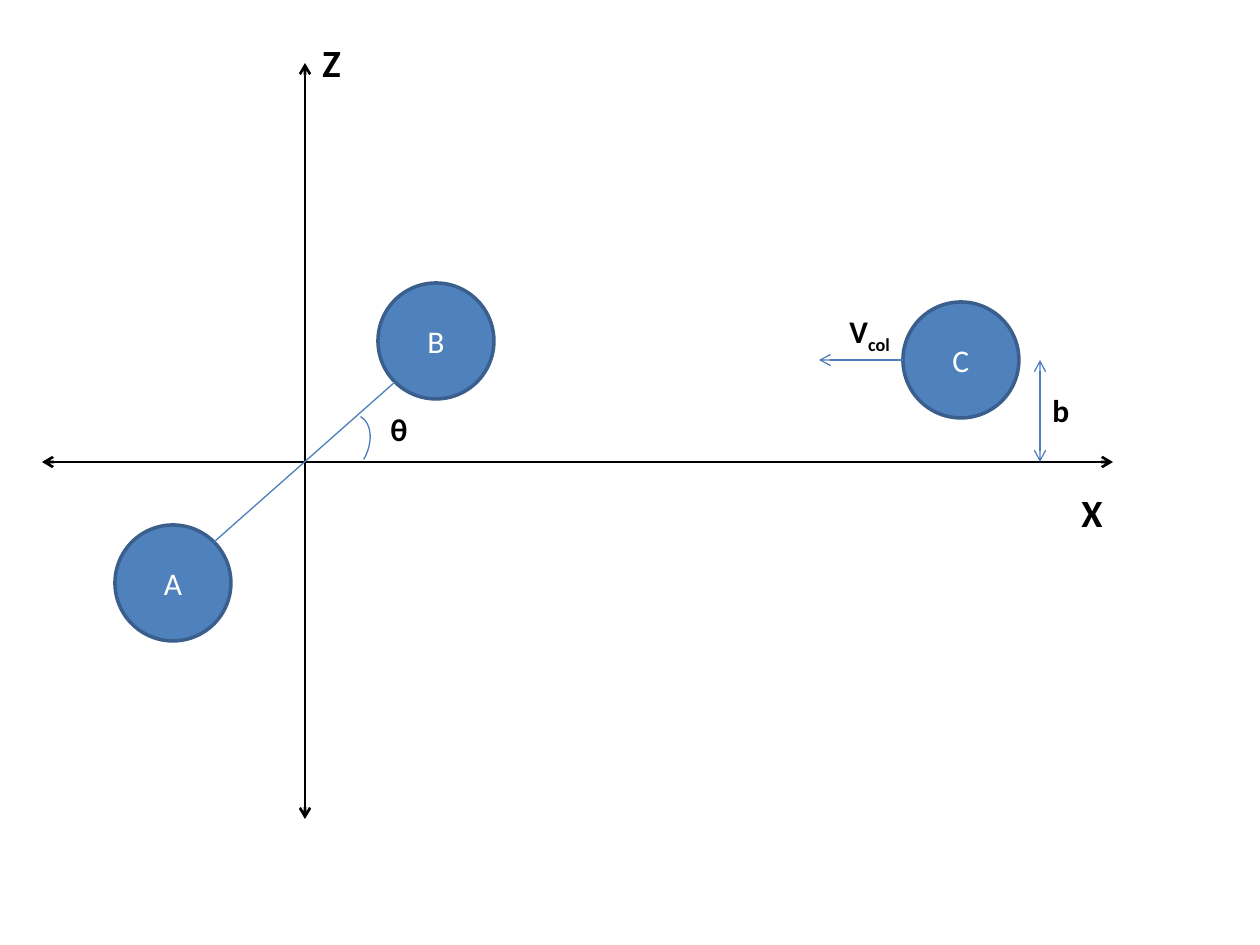
import pptx
import pptx.util
import pptx.dml.color
import pptx.enum.shapes
import pptx.enum.text
import pptx.oxml.ns
import lxml.etree

SCALE = 914400 / 126
DISC = 116
BLACK = pptx.dml.color.RGBColor(0, 0, 0)
WHITE = pptx.dml.color.RGBColor(255, 255, 255)
BLUE = pptx.dml.color.RGBColor(0x4F, 0x81, 0xBD)
EDGE = pptx.dml.color.RGBColor(0x3A, 0x5F, 0x8C)
THIN = pptx.dml.color.RGBColor(0x4B, 0x7E, 0xBC)
SHAPE = pptx.enum.shapes.MSO_SHAPE


def emu(*pixels):
    """Turn pixels into EMU."""
    return [round(p * SCALE) for p in pixels]


def font(run, size, color, bold=False):
    """Format one run."""
    run.font.name = "Calibri"
    run.font.size = pptx.util.Pt(size)
    run.font.bold = bold
    run.font.color.rgb = color


def line(shapes, start, end, color=THIN, width=0.75, ends=()):
    """Draw a straight line with arrowheads at the named ends."""
    link = shapes.add_connector(
        pptx.enum.shapes.MSO_CONNECTOR.STRAIGHT, *emu(*start, *end))
    link.line.color.rgb = color
    link.line.width = pptx.util.Pt(width)
    stroke = link.line._get_or_add_ln()
    for tag in ends:
        lxml.etree.SubElement(stroke, pptx.oxml.ns.qn(tag), type="arrow")
    lxml.etree.SubElement(link._element.spPr, pptx.oxml.ns.qn("a:effectLst"))


def disc(shapes, left, top, name):
    """Draw a labelled disc."""
    ball = shapes.add_shape(SHAPE.OVAL, *emu(left, top, DISC, DISC))
    ball.shadow.inherit = False
    ball.fill.solid()
    ball.fill.fore_color.rgb = BLUE
    ball.line.color.rgb = EDGE
    ball.line.width = pptx.util.Pt(2)
    frame = ball.text_frame
    frame.text = name
    frame.vertical_anchor = pptx.enum.text.MSO_ANCHOR.MIDDLE
    frame.paragraphs[0].alignment = pptx.enum.text.PP_ALIGN.CENTER
    font(frame.paragraphs[0].runs[0], 18, WHITE)


def label(shapes, box, text, size=18, sub=""):
    """Write a bold label with an optional subscript."""
    frame = shapes.add_textbox(*emu(*box)).text_frame
    frame.word_wrap = False
    frame.auto_size = pptx.enum.text.MSO_AUTO_SIZE.SHAPE_TO_FIT_TEXT
    frame.text = text
    para = frame.paragraphs[0]
    if sub:
        run = para.add_run()
        run.text = sub
        run.font._element.set("baseline", "-25000")
    for run in para.runs:
        font(run, size, BLACK, True)


def axes(shapes, left, top, width, height):
    """Draw the crossed axes and their names."""
    mid_x, mid_y = left + 263, top + 399
    both = ("a:headEnd", "a:tailEnd")
    line(shapes, (mid_x, top), (mid_x, top + height), BLACK, 1.5, both)
    line(shapes, (left, mid_y), (left + width, mid_y), BLACK, 1.5, both)
    label(shapes, (mid_x + 5, top - 30, 44, 59), "Z", 22)
    label(shapes, (left + width - 44, mid_y + 21, 47, 59), "X", 22)


def pair(shapes, left, top, width, height):
    """Draw discs A and B in opposite corners, joined by a bond."""
    group = shapes.add_group_shape().shapes
    right, low = left + width, top + height
    disc(group, left, low - DISC, "A")
    disc(group, right - DISC, top, "B")
    line(group, (left + 99, low - 99), (right - 99, top + 99))


def angle(shapes, left, top, width, height):
    """Draw the angle arc and its name."""
    arc = shapes.add_shape(SHAPE.ARC, *emu(left, top, width, height))
    arc.shadow.inherit = False
    arc.rotation = 29.7
    arc.fill.background()
    arc.line.color.rgb = THIN
    arc.line.width = pptx.util.Pt(0.75)
    label(shapes, (left + 59, top - 8, 43, 51), "θ")


def collider(shapes, left, top, width, height):
    """Draw disc C, its velocity and its distance from the X axis."""
    right, low = left + width, top + height
    mid = top + DISC // 2
    ball = left + 84
    disc(shapes, ball, top, "C")
    line(shapes, (right, mid), (right, low), ends=("a:headEnd", "a:tailEnd"))
    label(shapes, (right, mid + 25, 43, 51), "b")
    line(shapes, (ball, mid), (left, mid), ends=("a:tailEnd",))
    label(shapes, (left + 18, top + 4, 68, 51), "V", sub="col")


def main():
    """Build and save the slide."""
    deck = pptx.Presentation()
    deck.slide_width, deck.slide_height = emu(1260, 945)
    shapes = deck.slides.add_slide(deck.slide_layouts[6]).shapes
    axes(shapes, 42, 63, 1071, 756)
    collider(shapes, 819, 302, 221, 160)
    pair(shapes, 115, 283, 379, 358)
    angle(shapes, 319, 412, 48, 71)
    deck.save("out.pptx")


main()
